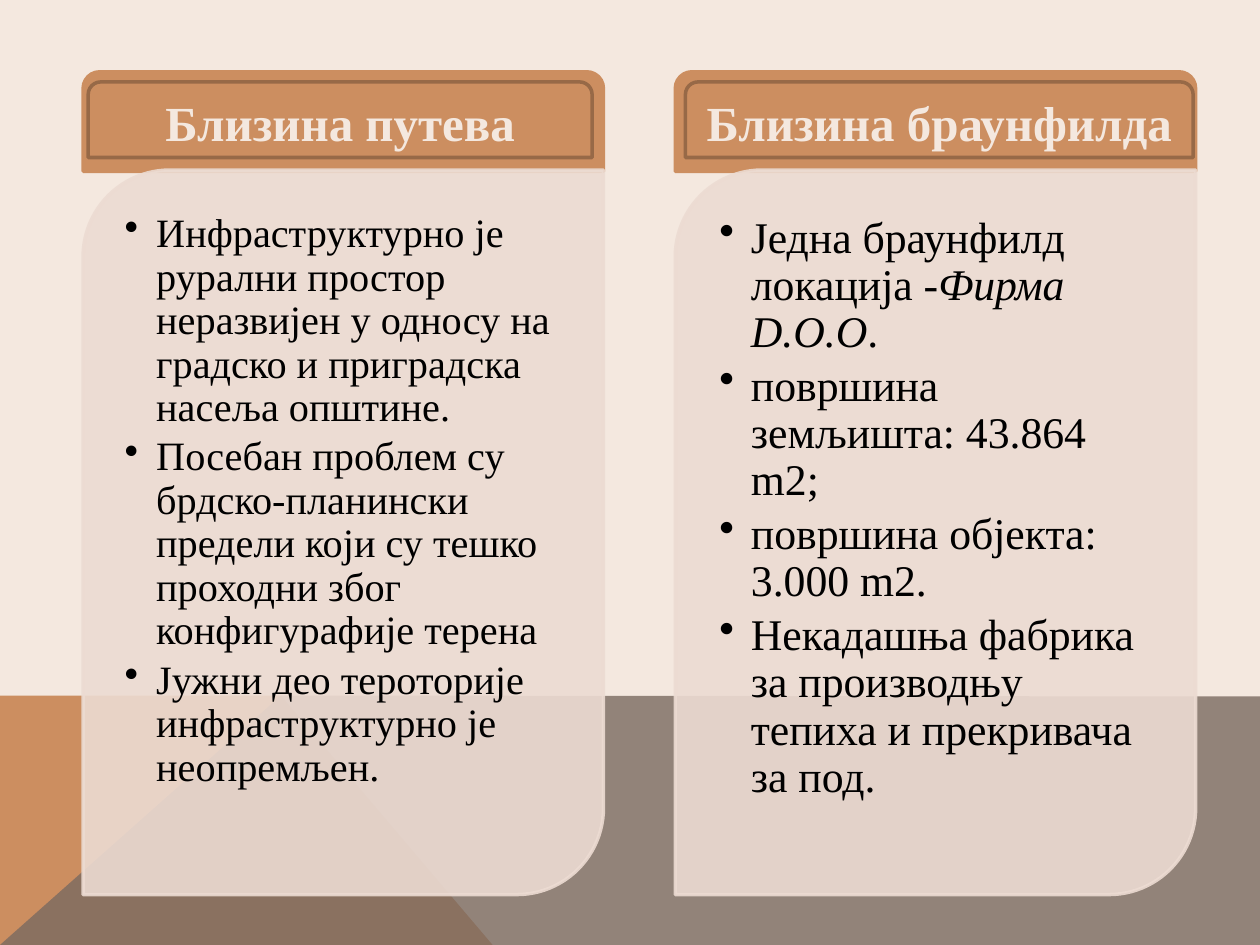
from dataclasses import dataclass

import pptx
import pptx.dml.color
import pptx.enum.shapes
import pptx.enum.text
import pptx.oxml
import pptx.oxml.ns
import pptx.util
from lxml import etree

RGB = pptx.dml.color.RGBColor
MSO = pptx.enum.shapes.MSO_SHAPE
Pt, Inches = pptx.util.Pt, pptx.util.Inches
qn = pptx.oxml.ns.qn

CREAM = RGB(0xF4, 0xE8, 0xDF)
ORANGE = RGB(0xCC, 0x8E, 0x60)
BROWN = RGB(0x97, 0x69, 0x47)
TAUPE = RGB(0x7A, 0x6A, 0x60)
PINK = RGB(0xEC, 0xDB, 0xD2)
BLACK = RGB(0, 0, 0)
FONT = "Times New Roman"

SLIDE_W, SLIDE_H = Inches(10), Inches(7.5)
COL_LEFT, COL_PITCH, COL_W = 6.6, 47, 41.3  # percent of slide width


@dataclass
class Box:
    """Left and width in percent of slide width, top and height of its height."""
    left: float
    top: float
    width: float
    height: float

    def emu(self) -> tuple:
        return (px(self.left), py(self.top), px(self.width), py(self.height))


@dataclass
class Column:
    title: str
    label: Box
    size: int
    insets: tuple  # left, top, right, bottom in inches
    items: list    # each item is a list of (text, italic) runs


def px(share: float) -> int:
    return round(SLIDE_W * share / 100)


def py(share: float) -> int:
    return round(SLIDE_H * share / 100)


def set_alpha(fill_parent, percent: int) -> None:
    for clr in fill_parent.findall(qn("a:solidFill") + "/" + qn("a:srgbClr")):
        etree.SubElement(clr, qn("a:alpha")).set("val", str(percent * 1000))


def paint(sp, fill: RGB, line: RGB = None, alpha: int = 100) -> None:
    sp.shadow.inherit = False
    sp.fill.solid()
    sp.fill.fore_color.rgb = fill
    if line is None:
        sp.line.fill.background()
    else:
        sp.line.color.rgb = line
        sp.line.width = Pt(2)
    if alpha < 100:
        set_alpha(sp._element.spPr, alpha)
        if line is not None:
            set_alpha(sp.line._get_or_add_ln(), alpha)


def add_facet(s, points: list, fill: RGB, alpha: int = 100) -> None:
    (x0, y0), *rest = [(px(x), py(y)) for x, y in points]
    fb = s.shapes.build_freeform(x0, y0)
    fb.add_line_segments(rest, close=True)
    paint(fb.convert_to_shape(), fill, alpha=alpha)


def add_block(s, kind, box: Box, fill: RGB, line: RGB, alpha: int = 100):
    sp = s.shapes.add_shape(kind, *box.emu())
    paint(sp, fill, line, alpha)
    return sp


def add_text(p, text: str, *, size: int, color: RGB, bold=False, italic=False) -> None:
    r = p.add_run()
    r.text = text
    r.font.name, r.font.size = FONT, Pt(size)
    r.font.bold, r.font.italic = bold, italic
    r.font.color.rgb = color


def add_bullet(p) -> None:
    pPr = p._p.get_or_add_pPr()
    pPr.set("marL", str(Inches(0.25)))
    pPr.set("indent", str(-Inches(0.25)))
    etree.SubElement(pPr, qn("a:buChar")).set("char", "•")


def add_column(s, index: int, col: Column) -> None:
    left = COL_LEFT + index * COL_PITCH
    # Header band and translucent panel
    add_block(s, MSO.ROUND_2_SAME_RECTANGLE, Box(left, 7.6, COL_W, 10.53), ORANGE, ORANGE)
    add_block(s, MSO.ROUND_2_DIAG_RECTANGLE, Box(left, 18, COL_W, 76.67), PINK, PINK, 90)

    # Bulleted text
    tf = s.shapes.add_textbox(*Box(left + 2, 20.8, COL_W - 4.1, 71.2).emu()).text_frame
    tf.word_wrap = True
    (tf.margin_left, tf.margin_top,
     tf.margin_right, tf.margin_bottom) = map(Inches, col.insets)
    for i, runs in enumerate(col.items):
        p = tf.add_paragraph() if i else tf.paragraphs[0]
        p.line_spacing = 0.9
        p.space_after = Pt(0.15 * col.size)
        add_bullet(p)
        for text, italic in runs:
            add_text(p, text, size=col.size, color=BLACK, italic=italic)


def add_label(s, col: Column) -> None:
    sp = add_block(s, MSO.ROUND_2_SAME_RECTANGLE, col.label, ORANGE, BROWN)
    sp.text_frame.word_wrap = True
    p = sp.text_frame.paragraphs[0]
    p.alignment = pptx.enum.text.PP_ALIGN.CENTER
    add_text(p, col.title, size=28, color=CREAM, bold=True)


COLUMNS = [
    Column("Близина путева", Box(7, 8.67, 40, 8), 23, (0.13, 0.13, 0.18, 0.2), [
        [("Инфраструктурно је рурални простор неразвијен у односу на "
          "градско и приградска насеља општине.", False)],
        [("Посебан проблем су брдско-планински предели који су тешко "
          "проходни због конфигурафије терена", False)],
        [("Јужни део тероторије инфраструктурно је неопремљен.", False)],
    ]),
    Column("Близина браунфилда", Box(54.4, 8.67, 40.3, 8), 25, (0.15, 0.15, 0.19, 0.22), [
        [("Једна браунфилд локација -", False), ("Фирма D.О.О", True), (".", False)],
        [("површина земљишта: 43.864 m2;", False)],
        [("површина објекта: 3.000 m2.", False)],
        [("Некадашња фабрика за производњу тепиха и прекривача за под.", False)],
    ]),
]


def main() -> None:
    prs = pptx.Presentation()
    prs.slide_width, prs.slide_height = SLIDE_W, SLIDE_H
    s = prs.slides.add_slide(prs.slide_layouts[6])

    # Background with two overlapping facets
    s.background.fill.solid()
    s.background.fill.fore_color.rgb = CREAM
    add_facet(s, [(0, 100), (0, 73.6), (22.3, 73.6), (39.1, 100)], ORANGE)
    add_facet(s, [(0, 100), (22.3, 73.6), (100, 73.7), (100, 100)], TAUPE, 80)

    # Columns, then the labels over their headers
    for i, col in enumerate(COLUMNS):
        add_column(s, i, col)
    for col in COLUMNS:
        add_label(s, col)

    prs.save("out.pptx")


if __name__ == "__main__":
    main()
